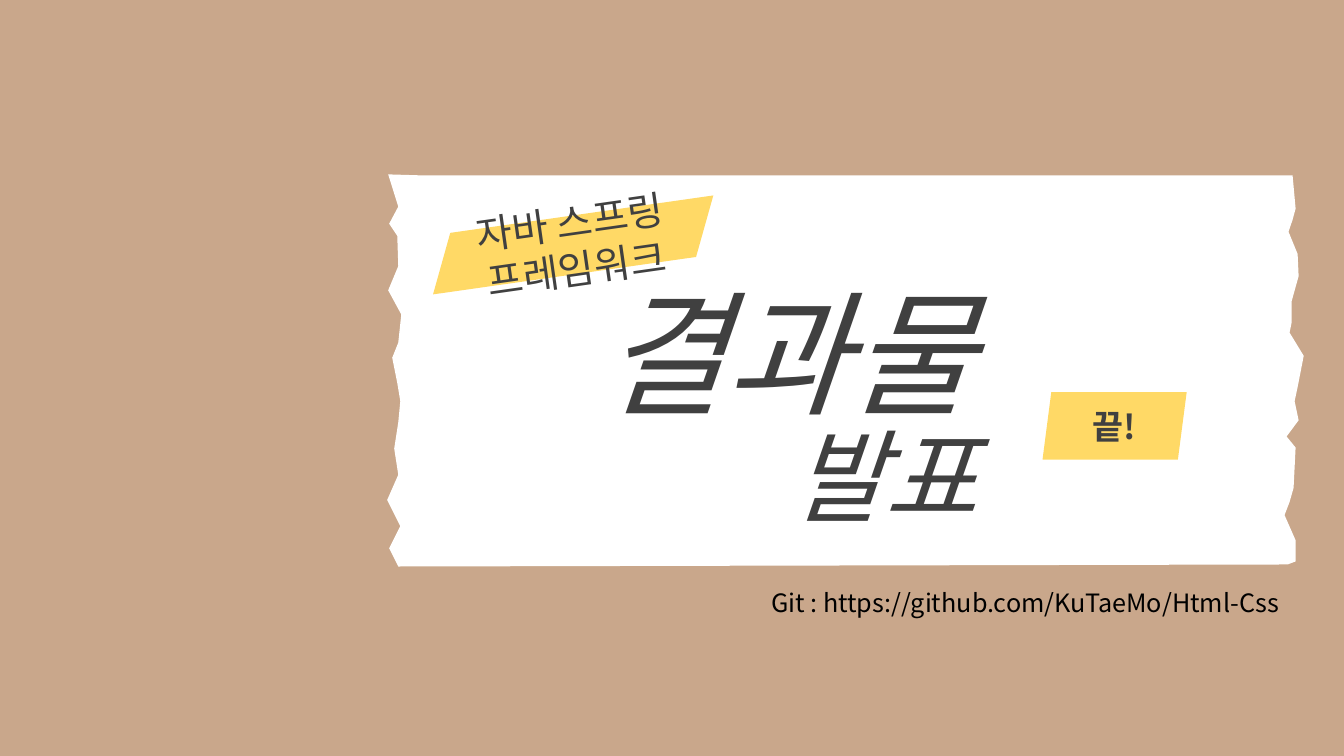
from pptx import Presentation
from pptx.dml.color import RGBColor
from pptx.enum.shapes import MSO_SHAPE
from pptx.enum.text import MSO_ANCHOR, MSO_AUTO_SIZE, PP_ALIGN
from pptx.util import Emu, Pt

PX = 9144
FONT = "Noto Sans CJK KR"
TAN, WHITE, YELLOW, CHARCOAL, BLACK = "C9A78B", "FFFFFF", "FFD966", "404040", "000000"

RIGHT_TEAR = [
    (898, 1), (901, 34), (898, 45), (894, 57), (903, 79), (904, 101),
    (897, 126), (897, 147), (895, 157), (909, 180), (903, 211), (900, 225),
    (904, 244), (892, 260), (901, 271), (899, 311), (895, 325), (890, 338),
    (901, 363), (901, 384), (893, 387),
]
LEFT_TEAR = [
    (11, 389), (2, 371), (13, 349), (0, 323), (11, 298), (7, 272), (11, 246),
    (13, 225), (10, 207), (5, 182), (11, 167), (14, 139), (1, 115), (11, 91),
    (10, 61), (2, 49), (11, 32), (1, 0),
]


def px(length):
    """Turn px, a hundred to the inch, into EMU."""
    return Emu(length * PX)


def paint(fill, color):
    """Make a fill solid in a hex colour."""
    fill.solid()
    fill.fore_color.rgb = RGBColor.from_string(color)


def write(shape, lines, size, color=CHARCOAL, align=PP_ALIGN.CENTER,
          wrap=True, bold=None, italic=None):
    """Write one paragraph per line in a shared style."""
    frame = shape.text_frame
    frame.word_wrap = wrap
    frame.text = "\n".join(lines)
    for paragraph in frame.paragraphs:
        paragraph.alignment = align
        font = paragraph.font
        font.name, font.size, font.bold, font.italic = FONT, Pt(size), bold, italic
        paint(font.fill, color)


def add_torn_paper(page, left, top):
    """Draw the white strip with torn ends."""
    start, *rest = [(left + x, top + y) for x, y in [(34, 1)] + RIGHT_TEAR + LEFT_TEAR]
    builder = page.shapes.build_freeform(*start, scale=PX)
    builder.add_line_segments(rest, close=True)
    paper = builder.convert_to_shape()
    paper.shadow.inherit = False
    paint(paper.fill, WHITE)
    paper.line.fill.background()


def add_tape(page, box, slant, lines, size, rotation=0, **style):
    """Place a yellow slanted label."""
    tape = page.shapes.add_shape(MSO_SHAPE.PARALLELOGRAM, *map(px, box))
    tape.adjustments[0] = slant
    tape.rotation = rotation
    tape.shadow.inherit = False
    paint(tape.fill, YELLOW)
    tape.line.fill.background()
    tape.text_frame.vertical_anchor = MSO_ANCHOR.MIDDLE
    write(tape, lines, size, **style)


def add_text(page, box, line, size, **style):
    """Place one line in a growing text box."""
    text_box = page.shapes.add_textbox(*map(px, box))
    write(text_box, [line], size, **style)
    text_box.text_frame.auto_size = MSO_AUTO_SIZE.SHAPE_TO_FIT_TEXT


def add_closing_page(deck):
    """Build the closing page."""
    page = deck.slides.add_slide(deck.slide_layouts[6])
    paint(page.background.fill, TAN)
    add_torn_paper(page, 384, 173)
    add_tape(page, (1034, 389, 143, 67), 0.13, ["끝!"], 24, wrap=False, bold=True)
    add_tape(page, (424, 214, 289, 58), 0.44, ["자바 스프링", "프레임워크"], 28, rotation=351.9)
    add_text(page, (568, 263, 424, 172), "결과물", 96, wrap=False, italic=True)
    add_text(page, (770, 405, 214, 131), "발표", 72, wrap=False, italic=True)
    add_text(page, (755, 578, 634, 40), "Git : https://github.com/KuTaeMo/Html-Css", 18,
             color=BLACK, align=PP_ALIGN.LEFT)


def main():
    """Build and save the deck."""
    deck = Presentation()
    deck.slide_width, deck.slide_height = px(1333), px(750)
    add_closing_page(deck)
    deck.save("out.pptx")


if __name__ == "__main__":
    main()
